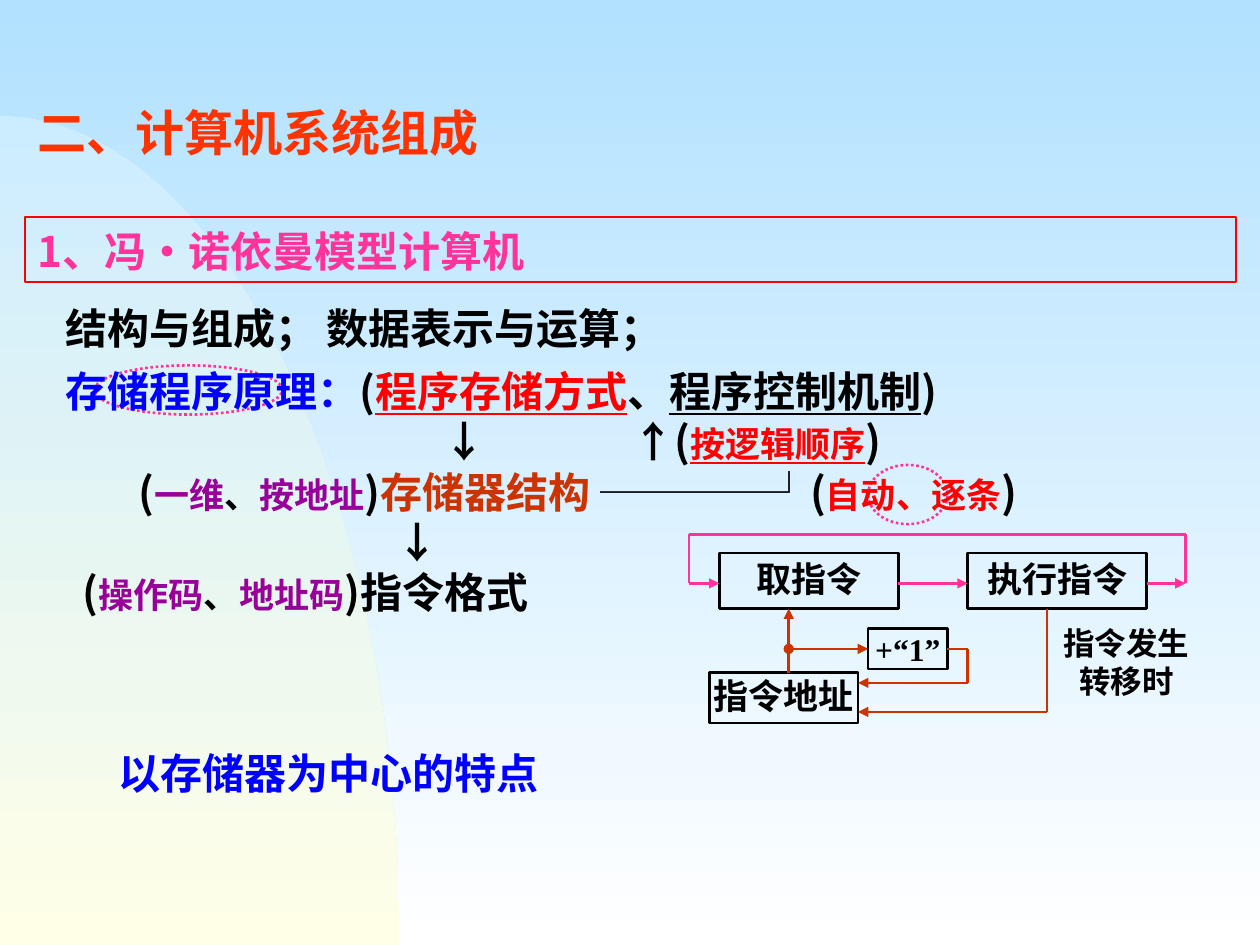
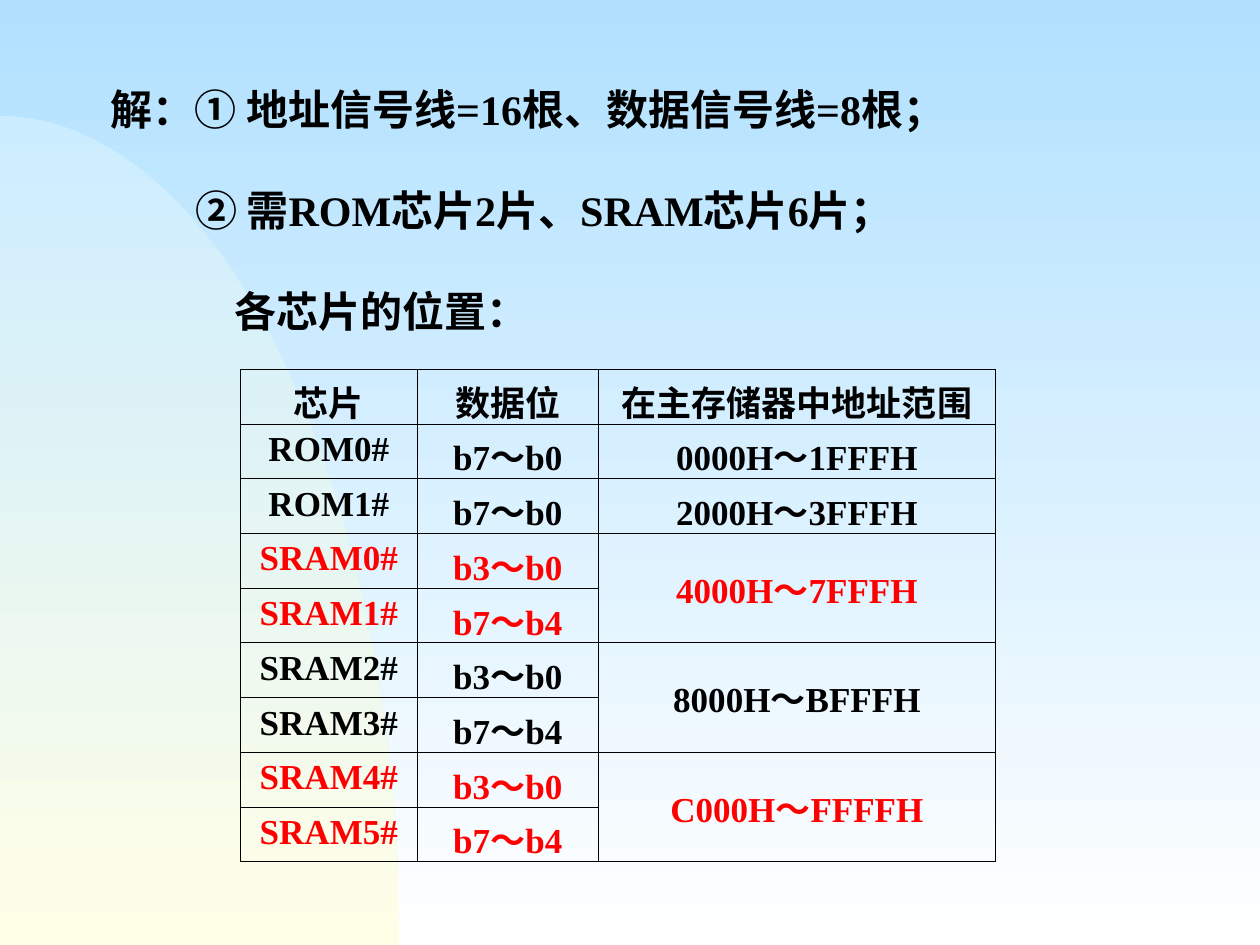
"""Build two slides on the stored-program computer and a memory chip layout."""
from math import cos, pi, sin

from lxml.etree import SubElement
from pptx import Presentation
from pptx.dml.color import RGBColor
from pptx.enum.dml import MSO_LINE_DASH_STYLE as Dash
from pptx.enum.shapes import MSO_CONNECTOR as Connector, MSO_SHAPE as Preset
from pptx.enum.text import MSO_ANCHOR as Anchor, MSO_AUTO_SIZE as AutoSize, PP_ALIGN as Align
from pptx.oxml.ns import qn
from pptx.util import Inches, Pt

SANS, SERIF = "Noto Sans CJK SC", "Times New Roman"
BLACK, RED, PINK, BLUE = "000000", "FF0000", "FF3399", "0000FF"
PURPLE, RUST, ORANGE = "990099", "CC3300", "FF3300"
rgb = RGBColor.from_string


def style_paragraph(paragraph, size, color=BLACK, latin=SANS, align=Align.LEFT):
    """Give a paragraph its bold font, colour and alignment."""
    paragraph.alignment = align
    font = paragraph.font
    font.name, font.size, font.bold = latin, Pt(size), True
    font.color.rgb = rgb(color)
    defaults = paragraph._p.get_or_add_pPr().find(qn("a:defRPr"))
    SubElement(defaults, qn("a:ea"), typeface=SANS)


def add_outline(slide, preset, box, color, width, dash=None):
    """Add an unfilled preset shape with a coloured outline."""
    shape = slide.shapes.add_shape(preset, *map(Inches, box))
    shape.shadow.inherit = False
    shape.fill.background()
    shape.line.color.rgb = rgb(color)
    shape.line.width = Pt(width)
    if dash:
        shape.line.dash_style = dash
    return shape


presentation = Presentation()
presentation.slide_width, presentation.slide_height = Inches(10), Inches(7.5)
master = presentation.slide_master
model_slide = presentation.slides.add_slide(presentation.slide_layouts[5])
chip_slide = presentation.slides.add_slide(presentation.slide_layouts[6])

steps = 60
arc = [(3.17 * sin(pi / 2 * i / steps), 7.5 - 6.58 * cos(pi / 2 * i / steps)) for i in range(steps + 1)]
builder = model_slide.shapes.build_freeform(0, Inches(0.92), scale=1.0)
builder.add_line_segments([(Inches(x), Inches(y)) for x, y in arc[1:] + [(0, 7.5)]])
hill = builder.convert_to_shape()
hill.shadow.inherit = False
hill.line.fill.background()
for fill, colors in ((master.background.fill, ("B1E1FF", "FFFFFF")), (hill.fill, ("CCECFF", "FFFFE7"))):
    fill.gradient()
    fill.gradient_angle = 270
    for stop, color in zip(fill.gradient_stops, colors):
        stop.color.rgb = rgb(color)
master.shapes.element.insert(2, hill.element)

title = model_slide.shapes.title
title.left, title.top, title.width, title.height = map(Inches, (0.2, 0.76, 9.64, 0.57))
title.text_frame.text = "二、计算机系统组成"
title.text_frame.vertical_anchor = Anchor.TOP
title.text_frame.auto_size = AutoSize.NONE
style_paragraph(title.text_frame.paragraphs[0], 28, ORANGE)

for ring in ((0.75, 2.9, 1.49, 0.39), (6.89, 3.69, 0.63, 0.47)):
    add_outline(model_slide, Preset.OVAL, ring, PINK, 1.5, Dash.ROUND_DOT)

heading = add_outline(model_slide, Preset.RECTANGLE, (0.2, 1.72, 9.61, 0.52), RED, 1)
heading.text_frame.text = "1、冯·诺依曼模型计算机"
heading.text_frame.vertical_anchor = Anchor.TOP
heading.text_frame.paragraphs[0].line_spacing = 1.05
style_paragraph(heading.text_frame.paragraphs[0], 24, PINK)

principle_lines = [
    (1.25, [0.22], [("\t结构与组成； 数据表示与运算；", BLACK, 24, False)]),
    (1.25, [0.22], [("\t存储程序原理：", BLUE, 24, False), ("(", BLACK, 24, False),
                    ("程序存储方式", RED, 24, True), ("、", BLACK, 24, False),
                    ("程序控制机制", BLACK, 24, True), (")", BLACK, 24, False)]),
    (1, [3.22, 4.72], [("\t↓\t↑(", BLACK, 24, False), ("按逻辑顺序", RED, 20, True),
                       (")", BLACK, 24, False)]),
    (1, [0.8], [("\t(", BLACK, 24, False), ("一维", PURPLE, 20, False), ("、", BLACK, 20, False),
                ("按地址", PURPLE, 20, False), (")", BLACK, 24, False),
                ("存储器结构", RUST, 24, False), (" ────┘(", BLACK, 24, False),
                ("自动、逐条", RED, 20, False), (")", BLACK, 24, False)]),
    (1, [2.85], [("\t↓", BLACK, 24, False)]),
    (1, [0.36], [("\t(", BLACK, 24, False), ("操作码", PURPLE, 20, False), ("、", BLACK, 20, False),
                 ("地址码", PURPLE, 20, False), (")指令格式", BLACK, 24, False)]),
]
principles = model_slide.shapes.add_textbox(*map(Inches, (0.2, 2.25, 9.53, 2.7))).text_frame
principles.word_wrap = True
for index, (spacing, stops, pieces) in enumerate(principle_lines):
    paragraph = principles.add_paragraph() if index else principles.paragraphs[0]
    tab_list = SubElement(paragraph._p.get_or_add_pPr(), qn("a:tabLst"))
    for stop in stops:
        SubElement(tab_list, qn("a:tab"), pos=str(Inches(stop)), algn="l")
    paragraph.line_spacing = spacing
    style_paragraph(paragraph, 24)
    for text, color, size, underlined in pieces:
        run = paragraph.add_run()
        run.text = text
        run.font.size, run.font.underline = Pt(size), underlined
        run.font.color.rgb = rgb(color)

flow_boxes = [
    ("取指令", (5.71, 4.39, 1.42, 0.44), 20, SANS, 0.9),
    ("执行指令", (7.68, 4.39, 1.42, 0.44), 20, SANS, 0.9),
    ("指令地址", (5.63, 5.34, 1.18, 0.4), 20, SANS, 0.9),
    ("+“1”", (6.89, 4.99, 0.63, 0.32), 18, SERIF, 1),
    ("指令发生转移时", (8.39, 4.94, 1.1, 0.63), 18, SANS, 1),
]
for text, box, size, latin, spacing in flow_boxes:
    if text == "指令发生转移时":
        shape = model_slide.shapes.add_textbox(*map(Inches, box))
    else:
        shape = add_outline(model_slide, Preset.RECTANGLE, box, BLACK, 1.5)
    frame = shape.text_frame
    frame.text, frame.word_wrap, frame.vertical_anchor = text, True, Anchor.MIDDLE
    frame.margin_left = frame.margin_right = Inches(0.02)
    frame.margin_top = frame.margin_bottom = Inches(0.01)
    frame.paragraphs[0].line_spacing = spacing
    style_paragraph(frame.paragraphs[0], size, BLACK, latin, Align.CENTER)

flow_paths = [
    (PINK, None, [(7.13, 4.63), (7.68, 4.63)]),
    (PINK, None, [(9.1, 4.63), (9.41, 4.63)]),
    (PINK, None, [(9.41, 4.63), (9.41, 4.24), (5.47, 4.24), (5.47, 4.63), (5.71, 4.63)]),
    (RUST, None, [(6.26, 5.34), (6.26, 4.83)]),
    (RUST, "oval", [(6.26, 5.15), (6.89, 5.15)]),
    (RUST, None, [(7.52, 5.15), (7.68, 5.15), (7.68, 5.42), (6.81, 5.42)]),
    (RUST, None, [(8.31, 4.83), (8.31, 5.65), (6.81, 5.65)]),
]
for color, head, points in flow_paths:
    for start, end in zip(points, points[1:]):
        connector = model_slide.shapes.add_connector(Connector.STRAIGHT, *map(Inches, start + end))
        connector.line.color.rgb = rgb(color)
        connector.line.width = Pt(1.5)
        outline = connector.line._get_or_add_ln()
        if head:
            SubElement(outline, qn("a:headEnd"), type=head)
        if end == points[-1]:
            SubElement(outline, qn("a:tailEnd"), type="triangle")
        SubElement(connector.element.spPr, qn("a:effectLst"))

feature = model_slide.shapes.add_textbox(*map(Inches, (0.84, 5.88, 3.53, 0.5))).text_frame
feature.text = "以存储器为中心的特点"
style_paragraph(feature.paragraphs[0], 24, BLUE)

answer_lines = [
    (0, "解：① 地址信号线=16根、数据信号线=8根；"),
    (0.67, "② 需ROM芯片2片、SRAM芯片6片；"),
    (0.98, "各芯片的位置："),
]
answer = chip_slide.shapes.add_textbox(*map(Inches, (0.78, 0.61, 8.16, 2.1))).text_frame
answer.word_wrap = True
for index, (indent, text) in enumerate(answer_lines):
    paragraph = answer.add_paragraph() if index else answer.paragraphs[0]
    paragraph.text = text
    paragraph._p.get_or_add_pPr().set("marL", str(Inches(indent)))
    if index:
        paragraph.space_before = Pt(29)
    style_paragraph(paragraph, 24, BLACK, SERIF)

chip_rows = [
    ("芯片", "数据位", "在主存储器中地址范围", BLACK),
    ("ROM0#", "b7～b0", "0000H～1FFFH", BLACK),
    ("ROM1#", "b7～b0", "2000H～3FFFH", BLACK),
    ("SRAM0#", "b3～b0", "4000H～7FFFH", RED),
    ("SRAM1#", "b7～b4", "", RED),
    ("SRAM2#", "b3～b0", "8000H～BFFFH", BLACK),
    ("SRAM3#", "b7～b4", "", BLACK),
    ("SRAM4#", "b3～b0", "C000H～FFFFH", RED),
    ("SRAM5#", "b7～b4", "", RED),
]
table = chip_slide.shapes.add_table(len(chip_rows), 3, *map(Inches, (1.91, 2.93, 5.99, 3.91))).table
table.first_row = table.horz_banding = False
for column, width in zip(table.columns, (1.4, 1.44, 3.15)):
    column.width = Inches(width)
for row, (*texts, color) in enumerate(chip_rows):
    for column, text in enumerate(texts):
        cell = table.cell(row, column)
        cell.margin_left = cell.margin_right = Inches(0.08)
        cell.margin_top = cell.margin_bottom = Inches(0.05)
        cell.vertical_anchor = Anchor.MIDDLE if row and column == 2 else Anchor.TOP
        for side in ("lnL", "lnR", "lnT", "lnB"):
            border = SubElement(cell._tc.get_or_add_tcPr(), qn(f"a:{side}"), w=str(Pt(0.45)))
            SubElement(SubElement(border, qn("a:solidFill")), qn("a:srgbClr"), val=BLACK)
        cell.fill.background()
        cell.text = text
        style_paragraph(cell.text_frame.paragraphs[0], 20, color, SERIF, Align.CENTER)
for row in (3, 5, 7):
    table.cell(row, 2).merge(table.cell(row + 1, 2))

presentation.save("out.pptx")
